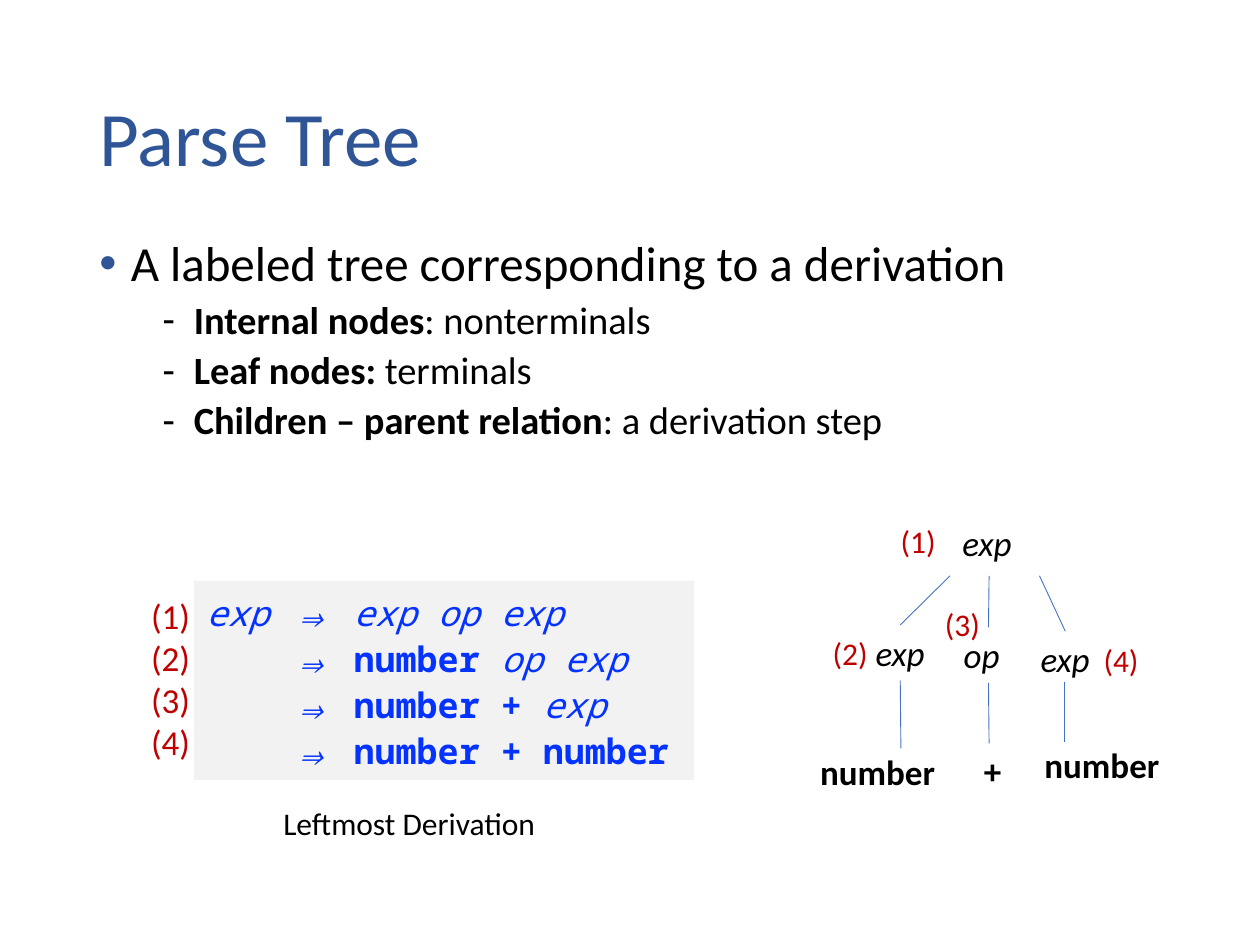
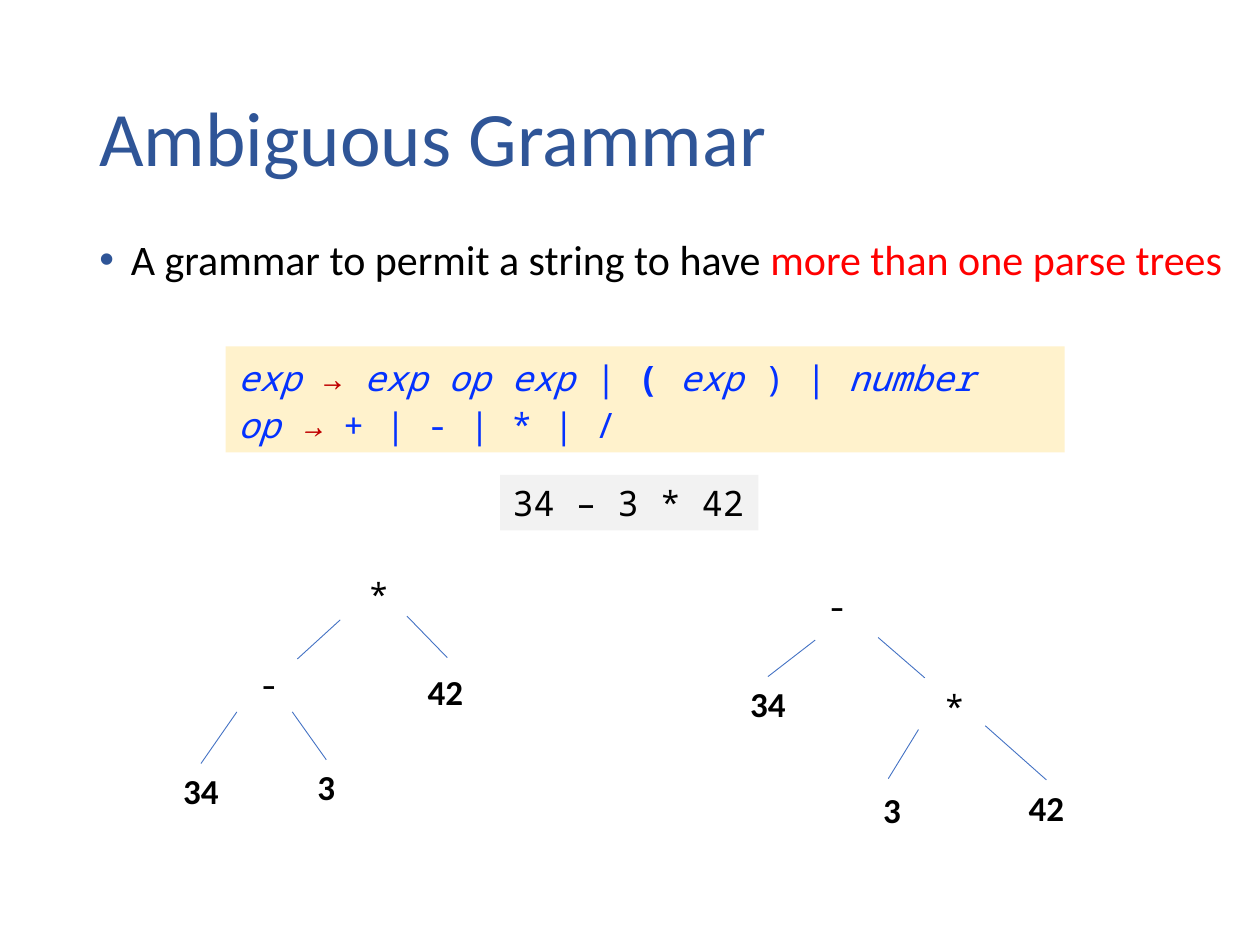
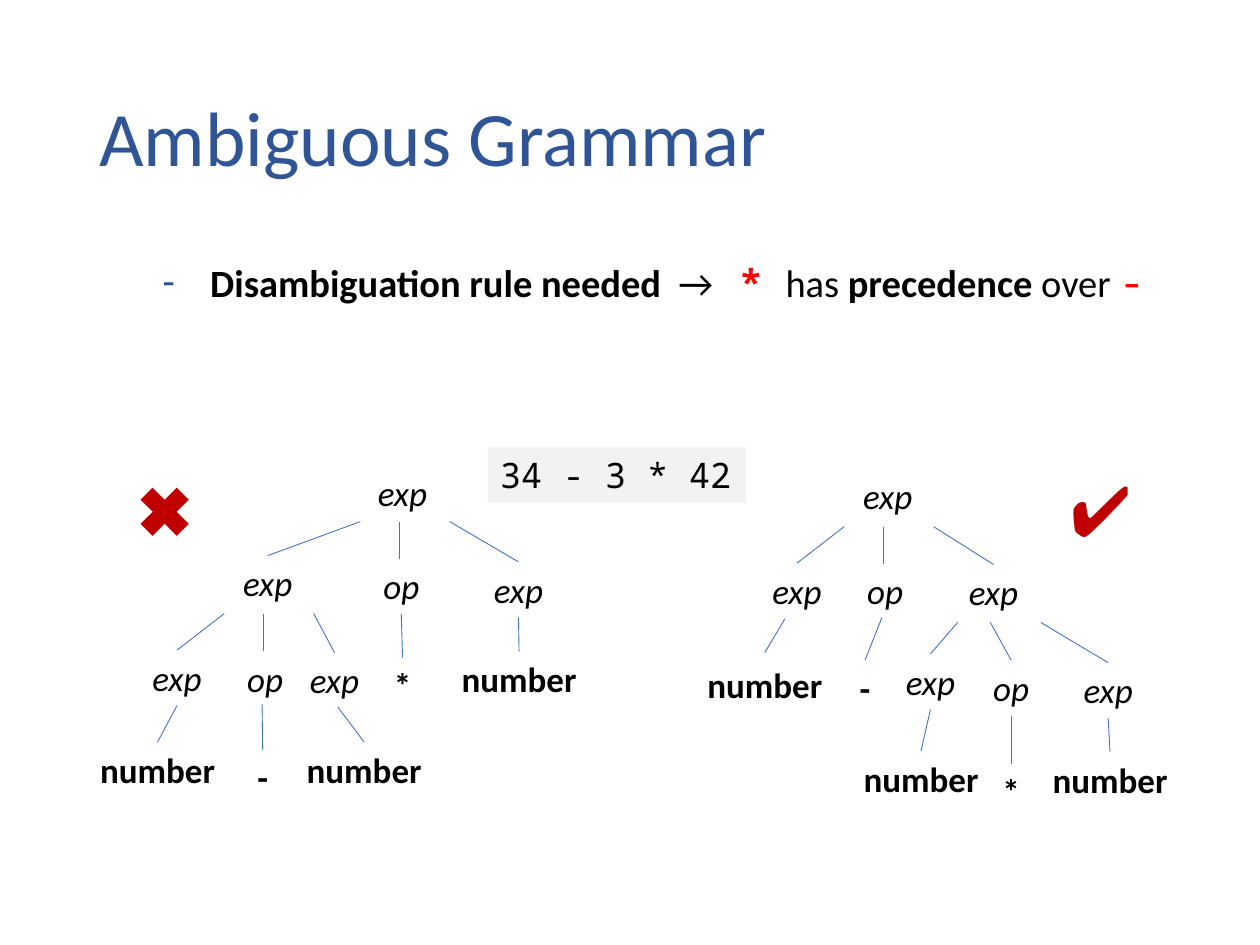
import lxml.etree
import pptx
import pptx.dml.color
import pptx.enum.shapes
import pptx.enum.text
import pptx.oxml.ns
import pptx.util

RGB = pptx.dml.color.RGBColor
ALIGN = pptx.enum.text.PP_ALIGN
ANCHOR = pptx.enum.text.MSO_ANCHOR
qn = pptx.oxml.ns.qn

PX = 9144  # 100 px to the inch

# Shared colours and fonts
BLACK = RGB(0x00, 0x00, 0x00)
NAVY = RGB(0x2F, 0x55, 0x97)
EDGE_BLUE = RGB(0x44, 0x72, 0xC4)
CODE_BLUE = RGB(0x04, 0x32, 0xFF)
DARK_RED = RGB(0xC0, 0x00, 0x00)
RED = RGB(0xFF, 0x00, 0x00)
GREY = RGB(0xF2, 0xF2, 0xF2)
CREAM = RGB(0xFF, 0xF2, 0xCC)
SANS = "Calibri"
MONO = "Noto Sans Mono"

# Run styles: font, size, colour, bold, italic
TITLE = (SANS, 44, NAVY, False, False)
LEAD = (SANS, 28, BLACK, False, False)
POINT = (SANS, 24, BLACK, False, False)
POINT_RED = (SANS, 24, RED, False, False)
SUB = (SANS, 22, BLACK, False, False)
SUB_BOLD = (SANS, 22, BLACK, True, False)
STAR_RED = (MONO, 22, RED, True, False)
MINUS_RED = (MONO, 24, RED, False, False)
CODE = (MONO, 20, CODE_BLUE, False, False)
CODE_BOLD = (MONO, 20, CODE_BLUE, True, False)
CODE_ITALIC = (MONO, 20, CODE_BLUE, False, True)
ARROW = (MONO, 20, DARK_RED, False, False)
ARROW_ITALIC = (MONO, 20, DARK_RED, False, True)
SAMPLE = (MONO, 20, BLACK, False, False)
NONTERMINAL = (SANS, 20, BLACK, False, True)
TERMINAL = (SANS, 20, BLACK, True, False)
STEP = (SANS, 20, DARK_RED, False, False)
STEP_SMALL = (SANS, 18, DARK_RED, False, False)
CAPTION = (SANS, 18, BLACK, False, False)
MARK = (SANS, 40, DARK_RED, False, False)

# Node kinds: run style, width, height, wrap
EXP = (NONTERMINAL, 59, 44, False)
OP = (NONTERMINAL, 59, 44, True)
NUMBER = (TERMINAL, 112, 44, False)
TWO_DIGITS = (TERMINAL, 49, 44, False)
ONE_SIGN = (TERMINAL, 34, 44, False)
SIGN = (TERMINAL, 39, 44, True)
MONO_SIGN = (SAMPLE, 37, 44, False)
STEP_LABEL = (STEP_SMALL, 48, 40, False)

# Bullets: sign, colour, left margin, hanging indent, space before
DOT = ("•", NAVY, 25, 25, 10)
DASH = ("-", BLACK, 75, 25, 5)
WIDE_DASH = ("-", NAVY, 88, 38, 10)


def add_text(page, area, paragraphs, fill=None, wrap=True, align=ALIGN.LEFT,
             anchor=ANCHOR.TOP, line_spacing=1.0, bullets=()):
    """Add a box; each paragraph is a list of (text, style[, letter spacing])."""
    place = [value * PX for value in area]
    if fill is None:
        box = page.shapes.add_textbox(*place)
    else:
        box = page.shapes.add_shape(pptx.enum.shapes.MSO_SHAPE.RECTANGLE, *place)
        box.shadow.inherit = False
        box.fill.solid()
        box.fill.fore_color.rgb = fill
        box.line.fill.background()
    frame = box.text_frame
    frame.word_wrap = wrap
    frame.vertical_anchor = anchor
    for index, runs in enumerate(paragraphs):
        para = frame.add_paragraph() if index else frame.paragraphs[0]
        para.alignment = align
        para.line_spacing = line_spacing
        if bullets:
            sign, colour, margin, hanging, before = bullets[index]
            if index:
                para.space_before = pptx.util.Pt(before)
            props = para._p.get_or_add_pPr()
            props.set("marL", str(margin * PX))
            props.set("indent", str(-hanging * PX))
            tint = lxml.etree.SubElement(props, qn("a:buClr"))
            lxml.etree.SubElement(tint, qn("a:srgbClr"), val=str(colour))
            lxml.etree.SubElement(props, qn("a:buFont"), typeface="Arial")
            lxml.etree.SubElement(props, qn("a:buChar"), char=sign)
        for text, style, *spacing in runs:
            span = para.add_run()
            span.text = text
            font = span.font
            font.name, size, font.color.rgb, font.bold, font.italic = style
            font.size = pptx.util.Pt(size)
            if spacing:
                span._r.get_or_add_rPr().set("spc", str(spacing[0] * 100))
    return box


def add_tree(page, nodes, edges, align=ALIGN.CENTER):
    """Draw nodes and edges; an edge end is a node name or a free point."""
    boxes = {}
    for name, (text, kind, left, top) in nodes.items():
        style, width, height, wrap = kind
        boxes[name] = add_text(page, (left, top, width, height),
                               [[(text, style)]], wrap=wrap, align=align)
    for start, end in edges:
        free = [(0, 0) if point in boxes else point for point in (start, end)]
        edge = page.shapes.add_connector(
            pptx.enum.shapes.MSO_CONNECTOR.STRAIGHT,
            *[value * PX for point in free for value in point])
        if start in boxes:
            edge.begin_connect(boxes[start], 2)
        if end in boxes:
            edge.end_connect(boxes[end], 0)
        edge.line.color.rgb = EDGE_BLUE
        edge.line.width = pptx.util.Pt(0.5)
        lxml.etree.SubElement(edge._element.spPr, qn("a:effectLst"))


deck = pptx.Presentation()
deck.slide_width = 1000 * PX
deck.slide_height = 750 * PX

# Pages with their titles
pages = []
for title in ("Parse Tree", "Ambiguous Grammar", "Ambiguous Grammar"):
    page = deck.slides.add_slide(deck.slide_layouts[6])
    add_text(page, (69, 40, 862, 145), [[(title, TITLE)]],
             anchor=ANCHOR.MIDDLE, line_spacing=0.9)
    pages.append(page)
parse_page, grammar_page, rule_page = pages

# Slide 1: definition
add_text(parse_page, (69, 185, 863, 173), [
    [("A labeled tree corresponding to a derivation", LEAD)],
    [("Internal nodes", SUB_BOLD), (": nonterminals", SUB)],
    [("Leaf nodes: ", SUB_BOLD), ("terminals", SUB)],
    [("Children – parent relation", SUB_BOLD), (": a derivation step", SUB)],
], line_spacing=0.9, bullets=(DOT, DASH, DASH, DASH))

# Slide 1: leftmost derivation
add_text(parse_page, (154, 461, 397, 158), [
    [("exp ⇒ exp op exp", CODE_ITALIC)],
    [("    ⇒ ", CODE_ITALIC), ("number ", CODE_BOLD), ("op exp", CODE_ITALIC)],
    [("    ⇒ ", CODE_ITALIC), ("number + ", CODE_BOLD), ("exp", CODE_ITALIC)],
    [("    ⇒ ", CODE_ITALIC), ("number + number", CODE_BOLD)],
], fill=GREY, line_spacing=1.1)
add_text(parse_page, (110, 467, 52, 145),
         [[(f"({step})", STEP)] for step in range(1, 5)], wrap=False)
add_text(parse_page, (215, 633, 223, 40),
         [[("Leftmost Derivation", CAPTION)]], wrap=False)

# Slide 1: parse tree with step labels
add_tree(parse_page, {
    "root": ("exp", EXP, 754, 409),
    "left": ("exp", EXP, 685, 496),
    "op": ("op", OP, 755, 498),
    "right": ("exp", EXP, 816, 501),
    "left number": ("number", NUMBER, 641, 591),
    "plus": ("+", ONE_SIGN, 771, 590),
    "right number": ("number", NUMBER, 819, 585),
    "step 1": ("(1)", STEP_LABEL, 705, 409),
    "step 2": ("(2)", STEP_LABEL, 651, 498),
    "step 3": ("(3)", STEP_LABEL, 740, 475),
    "step 4": ("(4)", STEP_LABEL, 866, 504),
}, [
    ((754, 457), "left"), ((785, 457), "op"), ((825, 457), "right"),
    ("left", (715, 594)), ("op", (785, 590)), ((845, 541), (845, 589)),
], align=ALIGN.LEFT)

# Slide 2: definition and grammar
add_text(grammar_page, (69, 185, 922, 52), [
    [("A grammar to permit a string to have ", POINT),
     ("more than one parse trees", POINT_RED)],
], line_spacing=0.9, bullets=(DOT,))
add_text(grammar_page, (179, 275, 666, 84), [
    [("exp ", CODE_ITALIC), ("→ ", ARROW), ("exp op exp ", CODE_ITALIC),
     ("| ", CODE), ("(", CODE_BOLD), (" exp ", CODE_ITALIC), (") |", CODE),
     (" number", CODE_ITALIC)],
    [("op ", CODE_ITALIC), ("→ ", ARROW_ITALIC), ("+ | - | * | /", CODE)],
], fill=CREAM, line_spacing=1.1)

# Slides 2 and 3: sample expression
for page, left, top, sample in ((grammar_page, 397, 377, "34 – 3 * 42"),
                                (rule_page, 387, 355, "34 - 3 * 42")):
    add_text(page, (left, top, 205, 44), [[(sample, SAMPLE)]],
             fill=GREY, wrap=False)

# Slide 2: subtraction first
add_tree(grammar_page, {
    "times": ("*", MONO_SIGN, 282, 450),
    "minus": ("-", MONO_SIGN, 195, 521),
    "42": ("42", TWO_DIGITS, 329, 527),
    "34": ("34", TWO_DIGITS, 135, 606),
    "3": ("3", ONE_SIGN, 242, 603),
}, [
    ((270, 492), (236, 523)), ((323, 489), (355, 522)),
    ((188, 565), "34"), ((232, 565), "3"),
])

# Slide 2: multiplication first
add_tree(grammar_page, {
    "minus": ("-", MONO_SIGN, 646, 459),
    "times": ("*", MONO_SIGN, 739, 539),
    "34": ("34", TWO_DIGITS, 585, 537),
    "3": ("3", ONE_SIGN, 691, 621),
    "42": ("42", TWO_DIGITS, 806, 619),
}, [
    ((647, 508), "34"), ((697, 506), (734, 538)),
    ((729, 579), (705, 618)), ((782, 576), "42"),
])

# Slide 3: disambiguation rule
add_text(rule_page, (69, 202, 863, 145), [
    [("Disambiguation rule needed", SUB_BOLD), (" ", SUB_BOLD, 5),
     ("→", SUB), (" ", SUB, 10), ("* ", STAR_RED), ("has ", SUB),
     ("precedence", SUB_BOLD), (" over ", SUB), ("-", MINUS_RED)],
], line_spacing=0.9, bullets=(WIDE_DASH,))

# Slide 3: verdict marks
add_text(rule_page, (840, 365, 96, 77), [[("✔️", MARK)]])
add_text(rule_page, (99, 365, 78, 77), [[("✖️", MARK)]])

# Slide 3: rejected tree
add_tree(rule_page, {
    "root": ("exp", EXP, 290, 369),
    "left": ("exp", EXP, 183, 441),
    "op": ("op", OP, 289, 443),
    "right": ("exp", EXP, 382, 446),
    "times": ("*", SIGN, 300, 522),
    "right number": ("number", NUMBER, 356, 517),
    "inner left": ("exp", EXP, 111, 516),
    "inner op": ("op", OP, 181, 517),
    "inner right": ("exp", EXP, 236, 518),
    "first number": ("number", NUMBER, 69, 589),
    "minus": ("-", SIGN, 189, 595),
    "second number": ("number", NUMBER, 233, 589),
}, [
    ((286, 414), "left"), ((317, 414), (317, 444)), ((357, 414), "right"),
    ("op", "times"), ("right", "right number"),
    ((178, 487), "inner left"), ((209, 487), (209, 517)),
    ((249, 487), "inner right"), ("inner left", "first number"),
    ((208, 559), "minus"), ((268, 561), "second number"),
])

# Slide 3: accepted tree
add_tree(rule_page, {
    "root": ("exp", EXP, 675, 372),
    "left": ("exp", EXP, 603, 447),
    "op": ("op", OP, 673, 447),
    "right": ("exp", EXP, 759, 448),
    "left number": ("number", NUMBER, 551, 522),
    "minus": ("-", SIGN, 667, 524),
    "inner left": ("exp", EXP, 709, 519),
    "inner op": ("op", OP, 773, 524),
    "inner right": ("exp", EXP, 850, 526),
    "first number": ("number", NUMBER, 675, 596),
    "times": ("*", SIGN, 783, 606),
    "second number": ("number", NUMBER, 825, 597),
}, [
    ((670, 418), "left"), ((701, 418), (701, 448)), ((741, 418), "right"),
    ((623, 491), (607, 518)), ((700, 490), "minus"),
    ((760, 494), "inner left"), ((786, 494), "inner op"),
    ((826, 494), "inner right"), ("inner left", "first number"),
    ("inner op", "times"), ("inner right", "second number"),
])

deck.save("out.pptx")
